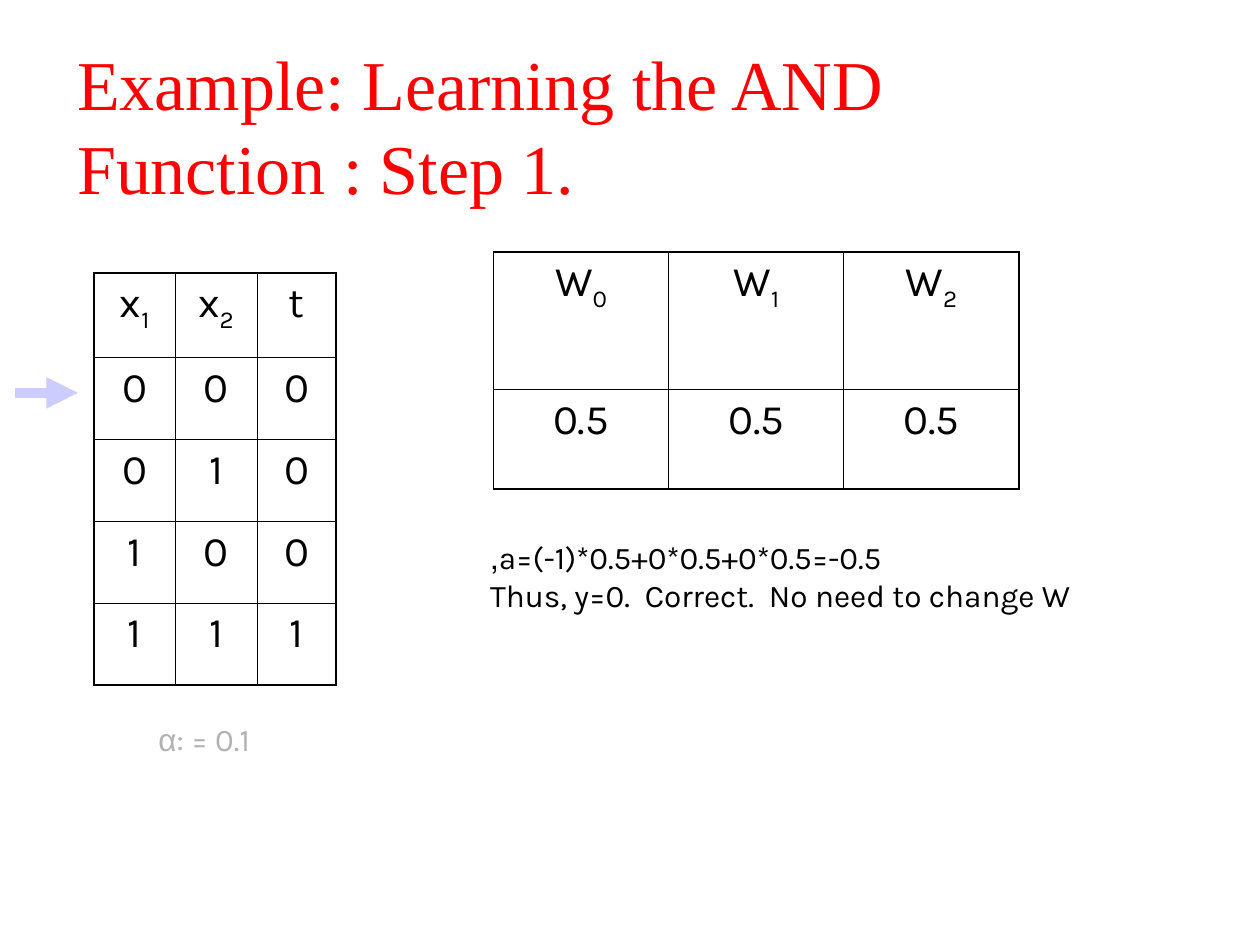
"""Build the slide on step 1 of learning the AND function."""
from dataclasses import dataclass

from lxml import etree
from pptx import Presentation
from pptx.dml.color import RGBColor
from pptx.enum.shapes import MSO_CONNECTOR
from pptx.enum.text import MSO_ANCHOR, MSO_AUTO_SIZE, PP_ALIGN
from pptx.oxml import parse_xml
from pptx.oxml.ns import nsdecls, qn
from pptx.util import Cm, Pt

LEFT, CENTER, RIGHT = PP_ALIGN.LEFT, PP_ALIGN.CENTER, PP_ALIGN.RIGHT
MIDDLE = MSO_ANCHOR.MIDDLE
NO_AUTOFIT = MSO_AUTO_SIZE.NONE
STRAIGHT = MSO_CONNECTOR.STRAIGHT


@dataclass(frozen=True)
class Theme:
    title_font: str = "Times New Roman"
    body_font: str = "Karla"
    greek_font: str = "Arial"
    title_color: str = "FF0000"
    ink: str = "000000"
    muted: str = "B2B2B2"
    marker: str = "CCCCFF"
    title_size: float = 40
    cell_size: float = 24
    note_size: float = 18
    outer_line: float = 1.08
    inner_line: float = 0.45
    marker_line: float = 6


THEME = Theme()


def write(paragraph, text, subscript="", font=THEME.body_font, size=THEME.note_size,
          color=THEME.ink, align=LEFT, rtl=False):
    """Append text and an optional subscript to a paragraph."""
    paragraph.alignment = align
    if rtl:
        paragraph._p.get_or_add_pPr().set("rtl", "1")
    for part, baseline in ((text, None), (subscript, "-25000")):
        if not part:
            continue
        run = paragraph.add_run()
        run.text = part
        run.font.name = font
        run.font.size = Pt(size)
        run.font.color.rgb = RGBColor.from_string(color)
        if baseline:
            run._r.get_or_add_rPr().set("baseline", baseline)


prs = Presentation()
prs.slide_width, prs.slide_height = Cm(25.4), Cm(19.05)
slide = prs.slides.add_slide(prs.slide_layouts[5])

title = slide.shapes.title
title.left, title.top, title.width, title.height = Cm(1.3), Cm(0.91), Cm(21.59), Cm(3.18)
title.text_frame.auto_size = NO_AUTOFIT
title.text_frame.vertical_anchor = MIDDLE
write(title.text_frame.paragraphs[0], "Example: Learning the AND Function : Step 1.",
      font=THEME.title_font, size=THEME.title_size, color=THEME.title_color)

truth_rows = [[("x", "1"), ("x", "2"), ("t", "")]]
truth_rows += [[(str(a), ""), (str(b), ""), (str(a & b), "")] for a in (0, 1) for b in (0, 1)]
weight_rows = [[("W", str(i)) for i in range(3)], [("0.5", "")] * 3]

tables = [
    (1.9, 5.5, [1.63, 1.65, 1.6], [1.71] + [1.65] * 4, truth_rows),
    (9.95, 5.08, [3.53] * 3, [2.77, 2.01], weight_rows),
]
for left, top, widths, heights, rows in tables:
    grid = slide.shapes.add_table(len(rows), len(widths), Cm(left), Cm(top),
                                  Cm(sum(widths)), Cm(sum(heights))).table
    grid.first_row = grid.horz_banding = False
    for column, width in zip(grid.columns, widths):
        column.width = Cm(width)
    for r, (height, row) in enumerate(zip(heights, rows)):
        grid.rows[r].height = Cm(height)
        for c, (text, subscript) in enumerate(row):
            cell = grid.cell(r, c)
            cell.fill.background()
            write(cell.text_frame.paragraphs[0], text, subscript,
                  size=THEME.cell_size, align=CENTER)
            edges = {"lnL": c == 0, "lnR": c == len(widths) - 1,
                     "lnT": r == 0, "lnB": r == len(rows) - 1}
            for position, (edge, is_outer) in enumerate(edges.items()):
                weight = Pt(THEME.outer_line if is_outer else THEME.inner_line)
                cell._tc.get_or_add_tcPr().insert(position, parse_xml(
                    f'<a:{edge} {nsdecls("a")} w="{weight}"><a:solidFill>'
                    f'<a:srgbClr val="{THEME.ink}"/></a:solidFill></a:{edge}>'))

activation = slide.shapes.add_textbox(Cm(9.63), Cm(10.72), Cm(12.95), Cm(1.78)).text_frame
activation.word_wrap = True
write(activation.paragraphs[0], "a=(-1)*0.5+0*0.5+0*0.5=-0.5,", rtl=True)
write(activation.add_paragraph(), "Thus, y=0.  Correct.  No need to change W", rtl=True)

row_marker = slide.shapes.add_connector(STRAIGHT, Cm(0.3), Cm(7.92), Cm(1.57), Cm(7.92))
row_marker.line.color.rgb = RGBColor.from_string(THEME.marker)
row_marker.line.width = Pt(THEME.marker_line)
etree.SubElement(row_marker.line._get_or_add_ln(), qn("a:tailEnd"), type="triangle")
etree.SubElement(row_marker._element.spPr, qn("a:effectLst"))

learning_rate = slide.shapes.add_textbox(Cm(2.62), Cm(14.4), Cm(2.67), Cm(1.02)).text_frame
learning_rate.word_wrap = True
for text, font in (("α", THEME.greek_font), (": = 0.1", THEME.body_font)):
    write(learning_rate.paragraphs[0], text, font=font, color=THEME.muted,
          align=RIGHT, rtl=True)

prs.save("out.pptx")
